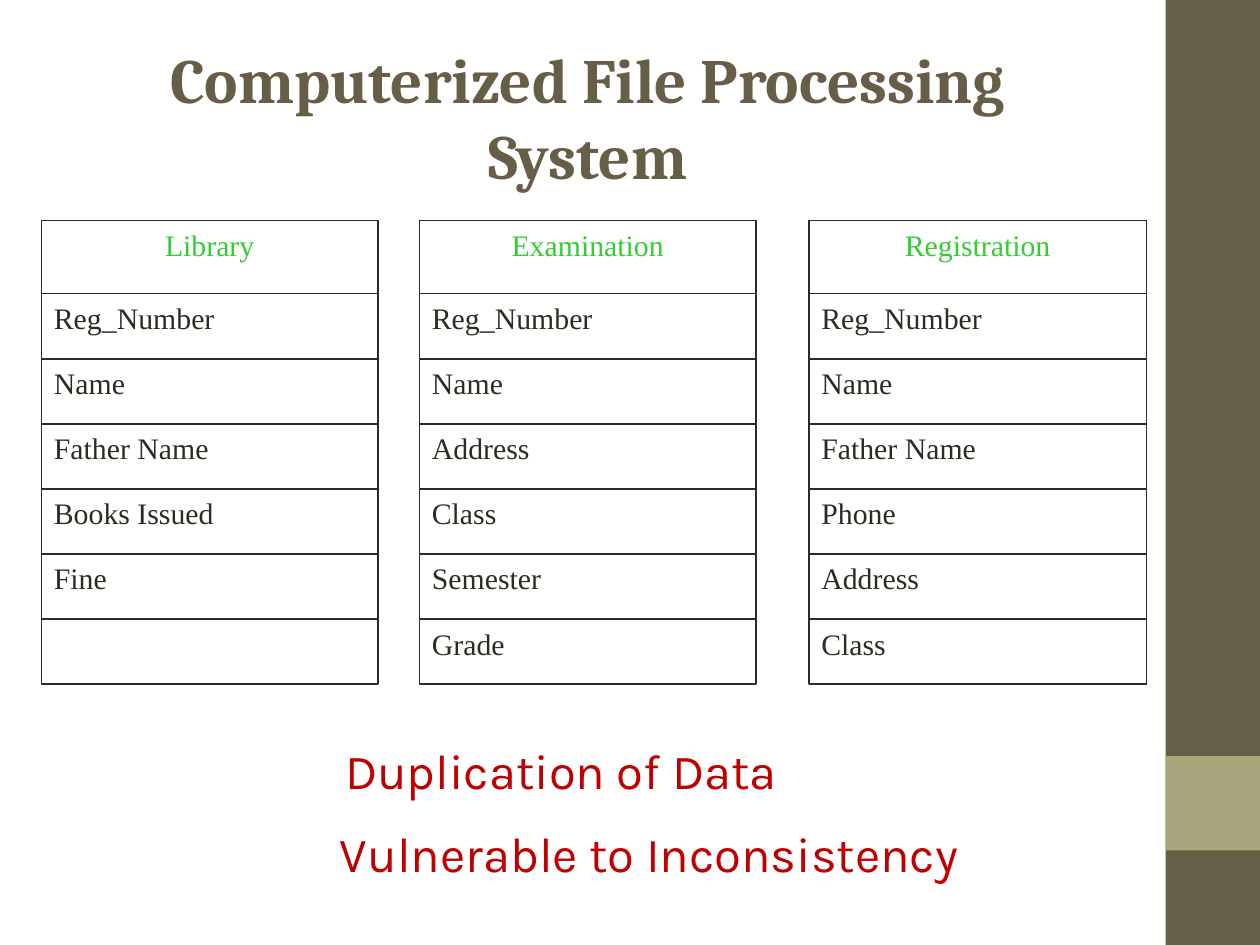
from lxml import etree
from pptx import Presentation
from pptx.dml.color import RGBColor
from pptx.enum.shapes import MSO_CONNECTOR, MSO_SHAPE
from pptx.enum.text import MSO_ANCHOR, MSO_AUTO_SIZE, PP_ALIGN
from pptx.oxml.ns import qn
from pptx.util import Inches, Pt

RECT = MSO_SHAPE.RECTANGLE
LINE = MSO_CONNECTOR.STRAIGHT
LEFT, CENTER = PP_ALIGN.LEFT, PP_ALIGN.CENTER
TOP, MIDDLE = MSO_ANCHOR.TOP, MSO_ANCHOR.MIDDLE
GROW, FIXED = MSO_AUTO_SIZE.SHAPE_TO_FIT_TEXT, MSO_AUTO_SIZE.NONE

BROWN = RGBColor(0x67, 0x5E, 0x47)
OLIVE = RGBColor(0xA9, 0xA5, 0x7C)
INK = RGBColor(0x2F, 0x2B, 0x20)
GREEN = RGBColor(0x33, 0xCC, 0x33)
RED = RGBColor(0xC0, 0x00, 0x00)


def write(shape, text, font="Times New Roman", size=17, color=INK, bold=False,
          align=LEFT, anchor=TOP, wrap=True, fit=FIXED):
    frame = shape.text_frame
    frame.word_wrap = wrap
    frame.auto_size = fit
    frame.vertical_anchor = anchor
    para = frame.paragraphs[0]
    para.alignment = align
    run = para.add_run()
    run.text = text
    run.font.name = font
    run.font.size = Pt(size)
    run.font.bold = bold
    run.font.color.rgb = color


def rule(group, x1, y1, x2, y2):
    line = group.shapes.add_connector(
        LINE, Inches(x1), Inches(y1), Inches(x2), Inches(y2))
    line.line.color.rgb = INK
    line.line.width = Pt(1)
    etree.SubElement(line._element.spPr, qn("a:effectLst"))


prs = Presentation()
prs.slide_width, prs.slide_height = Inches(10), Inches(7.5)
slide = prs.slides.add_slide(prs.slide_layouts[6])

for top, height, color in [(0, 7.5, BROWN), (6, 0.75, OLIVE)]:
    band = slide.shapes.add_shape(
        RECT, Inches(9.25), Inches(top), Inches(0.75), Inches(height))
    band.shadow.inherit = False
    band.fill.solid()
    band.fill.fore_color.rgb = color
    band.line.fill.background()

title = slide.shapes.add_textbox(
    Inches(0.5), Inches(0.3), Inches(8.33), Inches(1.25))
write(title, "Computerized File Processing System", font="Cambria", size=36,
      color=BROWN, bold=True, align=CENTER, anchor=MIDDLE)

head, body, foot = 1.75, 2.33, 5.43
count = 6
step = (foot - body) / count
edges = [head] + [body + step * i for i in range(count + 1)]

files = [
    (0.33, 2.67, ["Library", "Reg_Number", "Name", "Father Name",
                  "Books Issued", "Fine", ""]),
    (3.33, 2.67, ["Examination", "Reg_Number", "Name", "Address",
                  "Class", "Semester", "Grade"]),
    (6.42, 2.68, ["Registration", "Reg_Number", "Name", "Father Name",
                  "Phone", "Address", "Class"]),
]
for left, width, fields in files:
    group = slide.shapes.add_group_shape()
    for row, field in enumerate(fields):
        top, end = edges[row], edges[row + 1]
        cell = group.shapes.add_shape(
            RECT, Inches(left), Inches(top), Inches(width), Inches(end - top))
        cell.shadow.inherit = False
        cell.fill.background()
        cell.line.color.rgb = INK
        cell.line.width = Pt(0.75)
        if field:
            write(cell, field, color=INK if row else GREEN,
                  align=LEFT if row else CENTER)
    right = left + width
    for y in edges:
        rule(group, left, y, right, y)
    for x in (left, right):
        rule(group, x, head, x, foot)

notes = [
    (2.64, 5.83, 3.71, "Duplication of Data"),
    (2.6, 6.49, 5.23, "Vulnerable to Inconsistency"),
]
for left, top, width, text in notes:
    note = slide.shapes.add_textbox(
        Inches(left), Inches(top), Inches(width), Inches(0.57))
    write(note, text, font="Karla", size=28, color=RED, wrap=False, fit=GROW)

prs.save("out.pptx")
